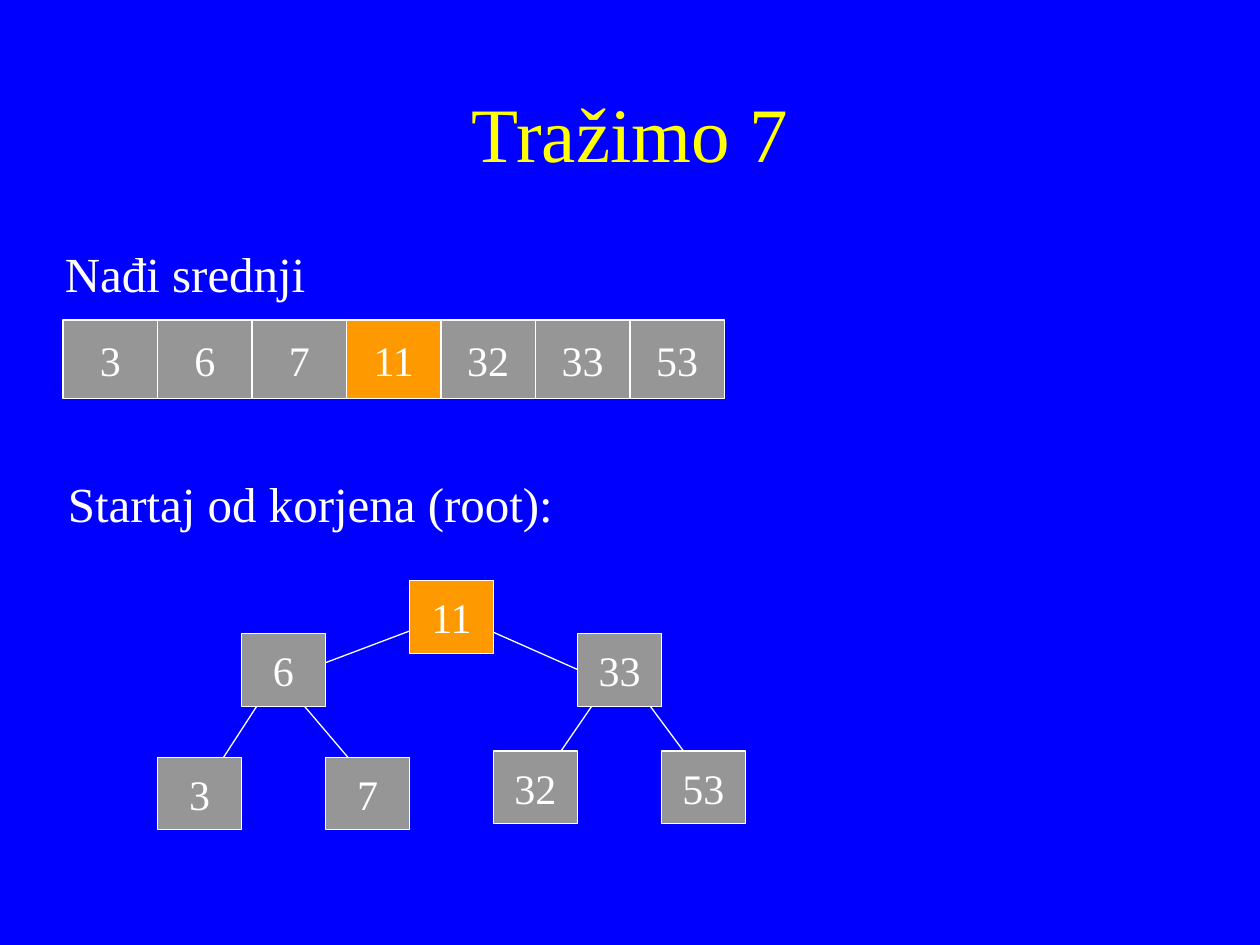
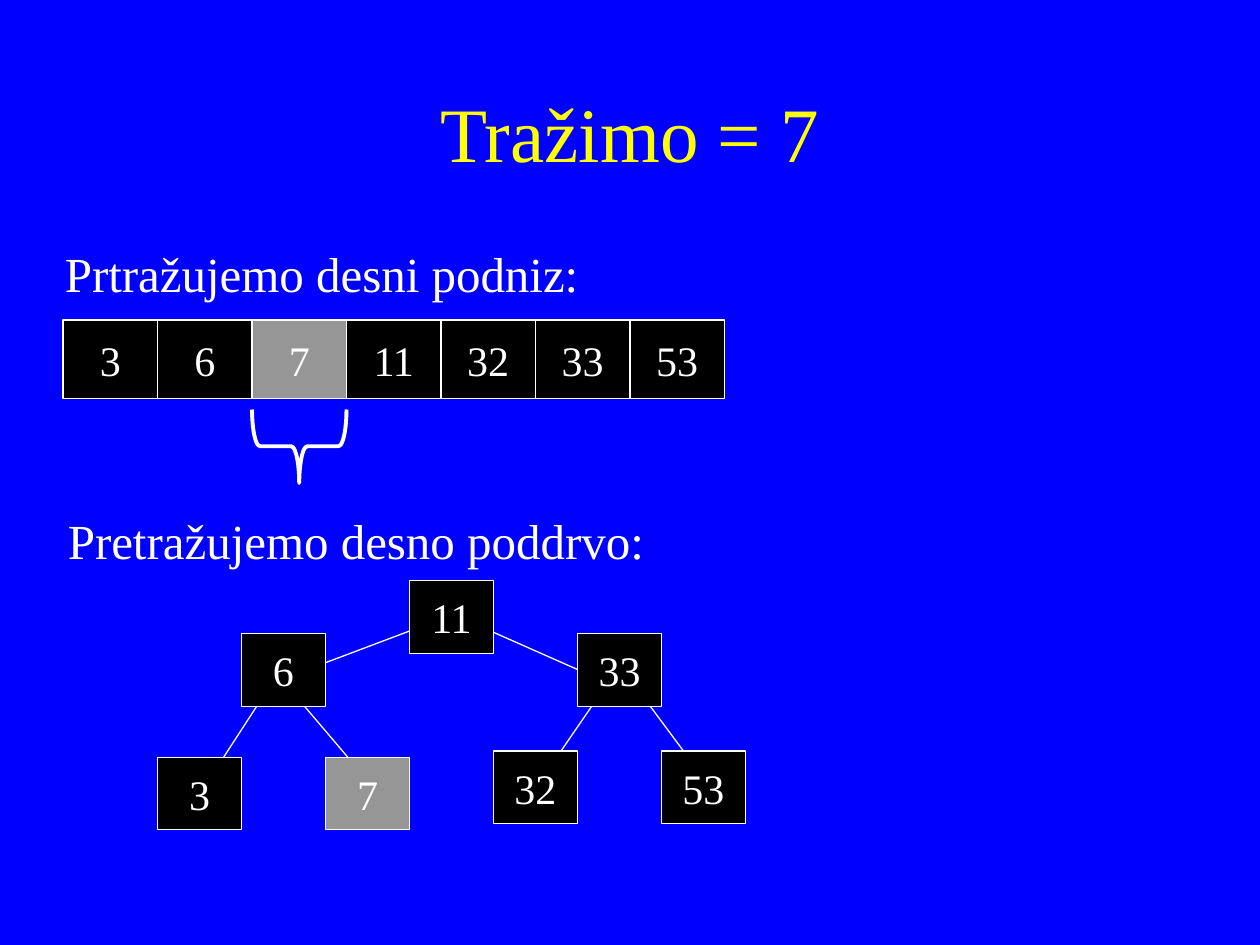
from lxml import etree
from pptx import Presentation
from pptx.dml.color import RGBColor
from pptx.enum.shapes import MSO_CONNECTOR, MSO_SHAPE
from pptx.enum.text import MSO_ANCHOR, PP_ALIGN
from pptx.oxml.ns import qn
from pptx.util import Pt

BLUE = RGBColor(0x00, 0x00, 0xFF)
YELLOW = RGBColor(0xFF, 0xFF, 0x00)
WHITE = RGBColor(0xFF, 0xFF, 0xFF)
GRAY = RGBColor(0x96, 0x96, 0x96)
ORANGE = RGBColor(0xFF, 0x99, 0x00)
BLACK = RGBColor(0x00, 0x00, 0x00)

RECTANGLE = MSO_SHAPE.RECTANGLE
LEFT_BRACE = MSO_SHAPE.LEFT_BRACE
STRAIGHT = MSO_CONNECTOR.STRAIGHT
CENTER = PP_ALIGN.CENTER
LEFT = PP_ALIGN.LEFT
MIDDLE = MSO_ANCHOR.MIDDLE

FONT = "Times New Roman"
TITLE_ONLY = 5
VALUES = [3, 6, 7, 11, 32, 33, 53]

TITLE_BOX = (54, 30, 612, 90)
ARRAY_BOX = (36, 182.8, 378, 45)
TREE_BOX = (90, 331.9, 336, 142.5)
NODE_HEIGHT = 41.5
NODE_TOPS = [100.8, 30.2, 100.8, 0, 97.2, 30.2, 97.2]
EDGES = [
    (157, 23.8, 80.6, 52.6),
    (179.3, 23.8, 255.6, 57.6),
    (62.6, 62.6, 31.7, 110.2),
    (76.3, 62.6, 121, 115.2),
    (264.2, 48.3, 215.3, 119.5),
    (264.2, 48.3, 313.9, 115.2),
]


def points(*lengths):
    return [Pt(length) for length in lengths]


def write(text_frame, text, size, color, alignment):
    text_frame.text = text
    paragraph = text_frame.paragraphs[0]
    paragraph.alignment = alignment
    paragraph.font.name = FONT
    paragraph.font.size = Pt(size)
    paragraph.font.color.rgb = color


def add_title(slide, box, text):
    title = slide.shapes.title
    title.left, title.top, title.width, title.height = points(*box)
    title.text_frame.vertical_anchor = MIDDLE
    write(title.text_frame, text, 44, YELLOW, CENTER)


def add_caption(slide, box, text, wrap):
    caption = slide.shapes.add_textbox(*points(*box))
    caption.text_frame.word_wrap = wrap
    write(caption.text_frame, text, 28, WHITE, LEFT)


def add_value(slide, box, value, color):
    shape = slide.shapes.add_shape(RECTANGLE, *points(*box))
    shape.shadow.inherit = False
    shape.fill.solid()
    shape.fill.fore_color.rgb = color
    shape.line.color.rgb = WHITE
    shape.line.width = Pt(0.75)
    shape.text_frame.word_wrap = False
    shape.text_frame.vertical_anchor = MIDDLE
    write(shape.text_frame, str(value), 24, WHITE, CENTER)


def add_edge(slide, start_x, start_y, end_x, end_y):
    edge = slide.shapes.add_connector(STRAIGHT, *points(start_x, start_y, end_x, end_y))
    edge.line.color.rgb = WHITE
    edge.line.width = Pt(0.75)
    etree.SubElement(edge._element.spPr, qn("a:effectLst"))


def add_array(slide, box, colors):
    left, top, width, height = box
    cell_width = width / len(VALUES)
    for index, (value, color) in enumerate(zip(VALUES, colors)):
        add_value(slide, (left + index * cell_width, top, cell_width, height), value, color)


def add_tree(slide, box, colors):
    left, top, width, _ = box
    node_width = width / len(VALUES)
    for start_x, start_y, end_x, end_y in EDGES:
        add_edge(slide, left + start_x, top + start_y, left + end_x, top + end_y)
    for index, (value, node_top, color) in enumerate(zip(VALUES, NODE_TOPS, colors)):
        node_box = (left + index * node_width, top + node_top, node_width, NODE_HEIGHT)
        add_value(slide, node_box, value, color)


def add_brace_below(slide, box, value):
    left, top, width, height = box
    span = width / len(VALUES)
    depth = 42
    center_x = left + (VALUES.index(value) + 0.5) * span
    center_y = top + height + 6.2 + depth / 2
    brace = slide.shapes.add_shape(
        LEFT_BRACE, *points(center_x - depth / 2, center_y - span / 2, depth, span))
    brace.rotation = 270
    brace.adjustments[0] = 0.11
    brace.shadow.inherit = False
    brace.fill.background()
    brace.line.color.rgb = WHITE
    brace.line.width = Pt(2.25)


def add_search_slide(presentation, title, array_caption, array_caption_height,
                     tree_caption, tree_caption_box, base_color, found, found_color):
    slide = presentation.slides.add_slide(presentation.slide_layouts[TITLE_ONLY])
    colors = [found_color if value == found else base_color for value in VALUES]
    add_title(slide, TITLE_BOX, title)
    add_caption(slide, (30, 135.4, 498, array_caption_height), array_caption, True)
    add_caption(slide, tree_caption_box, tree_caption, False)
    add_array(slide, ARRAY_BOX, colors)
    add_tree(slide, TREE_BOX, colors)
    return slide


def main():
    presentation = Presentation()
    presentation.slide_width, presentation.slide_height = points(720, 540)
    background = presentation.slide_master.background.fill
    background.solid()
    background.fore_color.rgb = BLUE

    add_search_slide(
        presentation, "Tražimo 7", "Nađi srednji", 75,
        "Startaj od korjena (root):", (31.7, 267.3, 291.6, 242.6), GRAY, 11, ORANGE)
    narrowed = add_search_slide(
        presentation, "Tražimo = 7", "Prtražujemo desni podniz:", 242.6,
        "Pretražujemo desno poddrvo:", (31.7, 288, 343.4, 242.6), BLACK, 7, GRAY)
    add_brace_below(narrowed, ARRAY_BOX, 7)
    presentation.save("out.pptx")


if __name__ == "__main__":
    main()
